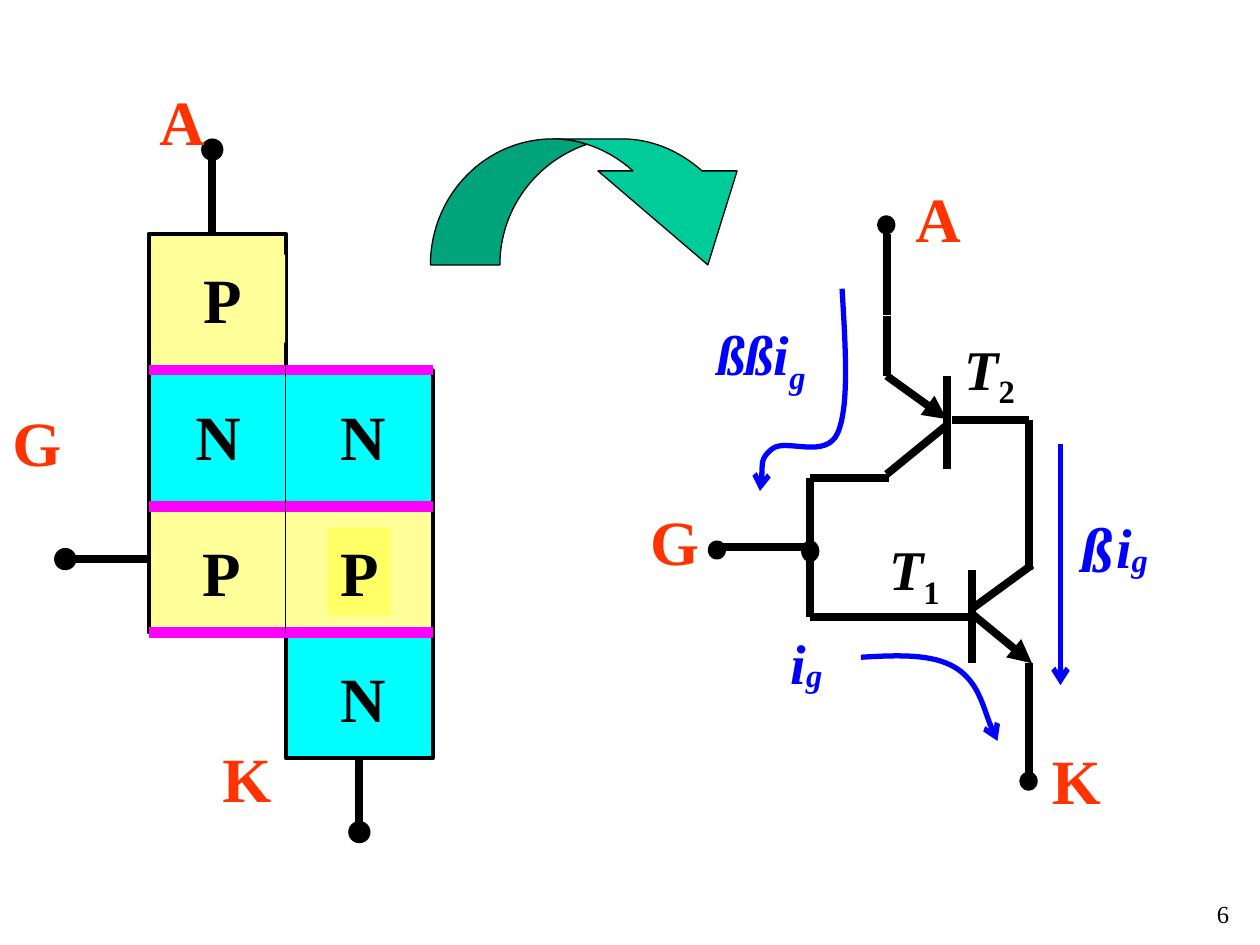
from typing import NamedTuple, Optional

import pptx
import pptx.dml.color
import pptx.enum.shapes
import pptx.enum.text
import pptx.oxml.ns
import pptx.util
from lxml import etree

Pt = pptx.util.Pt
RGBColor = pptx.dml.color.RGBColor
MSO_SHAPE = pptx.enum.shapes.MSO_SHAPE
qn = pptx.oxml.ns.qn

BLACK = RGBColor(0x00, 0x00, 0x00)
RED = RGBColor(0xFF, 0x33, 0x00)
BLUE = RGBColor(0x00, 0x00, 0xFF)
MAGENTA = RGBColor(0xFF, 0x00, 0xFF)
CYAN = RGBColor(0x00, 0xFF, 0xFF)
PALE_YELLOW = RGBColor(0xFF, 0xFF, 0x99)
YELLOW = RGBColor(0xFF, 0xFF, 0x66)
GREEN = RGBColor(0x00, 0xCC, 0x99)
DARK_GREEN = RGBColor(0x00, 0xA3, 0x7A)


class Label(NamedTuple):
    text: str
    x: float
    y: float
    width: float
    color: RGBColor
    subscript: str = ""
    baseline: int = 0  # percent
    size: float = 36
    height: float = 50.4
    italic: bool = False
    sub_italic: bool = False
    bold: bool = True
    fill: Optional[RGBColor] = None
    wrap: bool = False


class Line(NamedTuple):
    x1: float
    y1: float
    x2: float
    y2: float
    color: RGBColor = BLACK
    width: float = 4.5
    arrow: str = ""


class Box(NamedTuple):
    x: float
    y: float
    width: float
    height: float
    fill: RGBColor
    outline: float = 2.25
    kind: MSO_SHAPE = MSO_SHAPE.RECTANGLE


def add_arrowhead(line, kind: str) -> None:
    if kind:
        etree.SubElement(line._get_or_add_ln(), qn("a:tailEnd"), type=kind)


def draw_label(slide: pptx.slide.Slide, label: Label):
    box = slide.shapes.add_textbox(Pt(label.x), Pt(label.y), Pt(label.width), Pt(label.height))
    if label.fill is not None:
        box.fill.solid()
        box.fill.fore_color.rgb = label.fill
    box.text_frame.word_wrap = label.wrap
    paragraph = box.text_frame.paragraphs[0]
    for text, italic, baseline in ((label.text, label.italic, 0),
                                   (label.subscript, label.sub_italic, label.baseline)):
        if not text:
            continue
        run = paragraph.add_run()
        run.text = text
        run.font.name = "Times New Roman"
        run.font.size = Pt(label.size)
        run.font.bold, run.font.italic = label.bold, italic
        run.font.color.rgb = label.color
        if baseline:
            run._r.get_or_add_rPr().set("baseline", str(baseline * 1000))
    return box


def draw_line(slide: pptx.slide.Slide, line: Line):
    connector = slide.shapes.add_connector(
        pptx.enum.shapes.MSO_CONNECTOR.STRAIGHT, Pt(line.x1), Pt(line.y1), Pt(line.x2), Pt(line.y2))
    connector.line.color.rgb = line.color
    connector.line.width = Pt(line.width)
    add_arrowhead(connector.line, line.arrow)
    etree.SubElement(connector._element.spPr, qn("a:effectLst"))
    return connector


def draw_box(slide: pptx.slide.Slide, box: Box):
    shape = slide.shapes.add_shape(box.kind, Pt(box.x), Pt(box.y), Pt(box.width), Pt(box.height))
    shape.shadow.inherit = False
    shape.fill.solid()
    shape.fill.fore_color.rgb = box.fill
    shape.line.color.rgb = BLACK
    shape.line.width = Pt(box.outline)
    return shape


def draw_dot(slide: pptx.slide.Slide, x: float, y: float, width: float, height: float, outline: float):
    return draw_box(slide, Box(x - width / 2, y - height / 2, width, height, BLACK, outline, MSO_SHAPE.OVAL))


def draw_path(slide: pptx.slide.Slide, start: tuple, segments: list, color: RGBColor,
              width: float, fill: Optional[RGBColor] = None, arrow: str = ""):
    """Each segment holds one point (a straight side) or three (a Bezier curve)."""
    builder = slide.shapes.build_freeform(Pt(start[0]), Pt(start[1]))
    points = [(Pt(x), Pt(y)) for segment in segments for x, y in segment]
    builder.add_line_segments(points, close=fill is not None)
    shape = builder.convert_to_shape()
    sides = iter(list(shape._element.iter(qn("a:lnTo"))))
    for segment in segments:
        group = [next(sides) for _ in segment]
        if len(group) == 3:
            curve = etree.Element(qn("a:cubicBezTo"))
            group[0].addprevious(curve)
            for side in group:
                curve.append(side[0])
                side.getparent().remove(side)
    shape.shadow.inherit = False
    if fill is None:
        shape.fill.background()
    else:
        shape.fill.solid()
        shape.fill.fore_color.rgb = fill
    shape.line.color.rgb = color
    shape.line.width = Pt(width)
    add_arrowhead(shape.line, arrow)
    return shape


def draw_layers(slide: pptx.slide.Slide) -> None:
    left, middle, right = 85, 163.3, 247.4
    tops = (133.5, 211.5, 289.5, 361.5)
    bottom = 433.3
    full, half = right - left, right - middle

    # Semiconductor blocks
    cathode = draw_box(slide, Box(middle, tops[3], half, bottom - tops[3], CYAN))
    draw_box(slide, Box(left, tops[1], full, tops[2] - tops[1], CYAN))
    draw_box(slide, Box(left, tops[2], full, tops[3] - tops[2], PALE_YELLOW))
    draw_box(slide, Box(left, tops[0], middle - left, tops[1] - tops[0], PALE_YELLOW))

    # Layer names
    for label in (
        Label("P", 109, 145.5, 54, BLACK, fill=PALE_YELLOW, wrap=True),
        Label("N", 104.5, 223.5, 40, BLACK, fill=CYAN),
        Label("P", 108.4, 301.5, 36, BLACK, fill=PALE_YELLOW),
        Label("N", 187.3, 223.5, 40, BLACK),
        Label("P", 187.3, 301.5, 36, BLACK, fill=YELLOW),
        Label("N", 187.3, 373.5, 40, BLACK, fill=CYAN),
    ):
        draw_label(slide, label)

    # Junctions and the cut between the two transistors
    for y in tops[1:]:
        draw_line(slide, Line(left, y, right, y, MAGENTA, 6))
    draw_line(slide, Line(middle, 205.5, middle, tops[3], BLACK, 0.75))

    # Leads with their terminals
    draw_line(slide, Line(121.3, tops[0], 121.3, 85.5))
    draw_line(slide, Line(left, 319.5, 37.3, 319.5))
    lead = draw_line(slide, Line(205.35, bottom, 205.35, 475.5))
    lead.begin_connect(cathode, 2)
    for x, y in ((205.35, 475.5), (37.3, 319.5), (121.3, 85.5)):
        draw_dot(slide, x, y, 12, 12, 0.75)
    for name, x, y in (("A", 84, 43.8), ("G", 0, 227), ("K", 120, 419)):
        draw_label(slide, Label(name, x, y, 42, RED))


def draw_turn_arrow(slide: pptx.slide.Slide) -> None:
    draw_path(slide, (316, 79.4), [
        [(355.5, 79.4)], [(372, 79.4), (388, 86), (401.2, 97.7)], [(421.2, 97.7)],
        [(404.5, 151.4)], [(341.7, 97.7)], [(361.7, 97.7)],
        [(348.5, 86), (332.5, 79.4), (316, 79.4)]], BLACK, 0.75, GREEN)
    draw_path(slide, (246, 151.4), [
        [(246, 111.7), (277.3, 79.4), (316, 79.4)],
        [(322.5, 79.4), (329, 80.5), (335.4, 82.5)],
        [(306, 92.5), (285.7, 120), (285.7, 151.4)]], BLACK, 0.75, DARK_GREEN)


def draw_circuit(slide: pptx.slide.Slide) -> None:
    gate, emitter, t2_bar, t1_bar, output = 463, 506.7, 541, 555.2, 587.8

    # Wires and transistors
    for line in (
        Line(508.3, 273, 486, 273), Line(500.5, 273, gate, 273),
        Line(gate, 273, gate, 352.5), Line(t1_bar + 1.5, 352.5, gate, 352.5), Line(412.5, 312.7, gate, 312.7),
        Line(589.7, 322.8, t1_bar, 348), Line(t1_bar, 326, t1_bar, 379),
        Line(t1_bar, 350.6, 589.7, 379, arrow="triangle"),
        Line(emitter, 214.8, t2_bar, 239.5, arrow="triangle"),
        Line(t2_bar, 214.8, t2_bar, 267.8), Line(t2_bar, 243, emitter, 271),
        Line(emitter, 180.5, emitter, 214.8), Line(emitter, 134, emitter, 180.2),
        Line(544, 240, output, 240), Line(output, 240, output, 326),
        Line(output, 379, output, 445),
    ):
        draw_line(slide, line)
    for x, y, height in ((gate, 315, 8), (409.7, 314.3, 6.5), (emitter - 0.2, 128.5, 6.5), (output, 446.4, 6.5)):
        draw_dot(slide, x, y, 6, height, 4.5)

    # Terminal and transistor names
    for name, x, y in (("A", 516, 99), ("G", 364.5, 283.7), ("K", 594, 420)):
        draw_label(slide, Label(name, x, y, 42, RED))
    for number, x, y, width in (("1", 501, 301.7, 48), ("2", 544, 187.3, 52)):
        draw_label(slide, Label("T", x, y, width, BLACK, number, -25, 32, 51, italic=True))


def draw_currents(slide: pptx.slide.Slide) -> None:
    # Flow arrows
    draw_path(slide, (492, 375.6), [
        [(512.6, 374.4), (533, 373.5), (546, 381.6)],
        [(559, 389.5), (566, 417.5), (570, 423.4)]], BLUE, 3, arrow="arrow")
    draw_line(slide, Line(606, 253.5, 606, 391.5, BLUE, 3, "arrow"))
    draw_path(slide, (481.2, 165), [
        [(483.2, 198.7), (485.3, 232), (478.8, 247.2)],
        [(472.3, 262.8), (449.3, 250.5), (441.6, 256.3)],
        [(434, 262), (435.5, 277.2), (434.3, 280.6)]], BLUE, 3, arrow="arrow")

    # Current names
    draw_label(slide, Label("ß", 611, 287.5, 34, BLUE, italic=True))
    for text, x, y, width, height, baseline in (
            ("i", 444.7, 355.5, 36, 46, -6), ("i", 630.7, 289.5, 36, 46, -6), ("ßßi", 403, 179.3, 76, 51, -25)):
        draw_label(slide, Label(text, x, y, width, BLUE, "g", baseline, 32, height, True, True))


def main() -> None:
    presentation = pptx.Presentation()
    presentation.slide_width, presentation.slide_height = Pt(720), Pt(540)
    slide = presentation.slides.add_slide(presentation.slide_layouts[6])
    draw_layers(slide)
    draw_turn_arrow(slide)
    draw_currents(slide)
    draw_circuit(slide)

    # Page number
    page = draw_label(slide, Label("6", 559.5, 510, 150, BLACK, size=14, height=36, bold=False, wrap=True))
    page.text_frame.paragraphs[0].alignment = pptx.enum.text.PP_ALIGN.RIGHT
    presentation.save("out.pptx")


if __name__ == "__main__":
    main()
